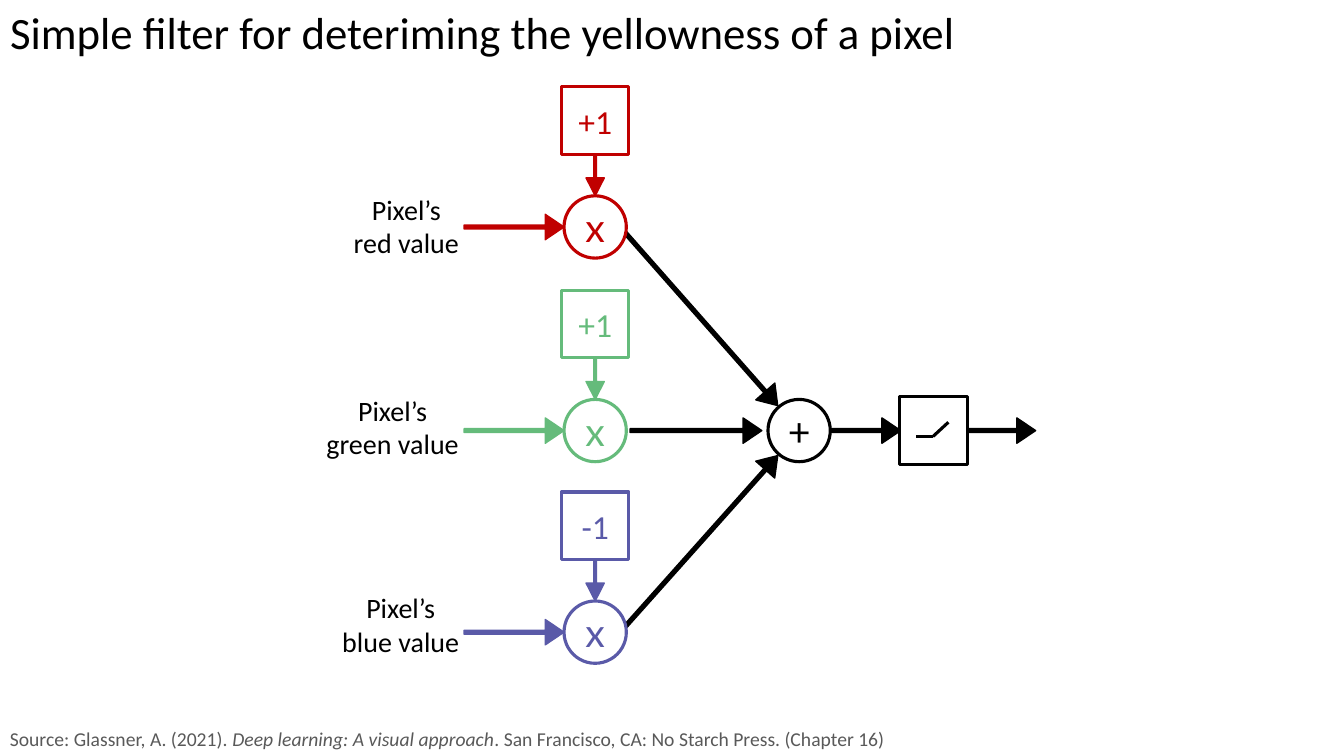
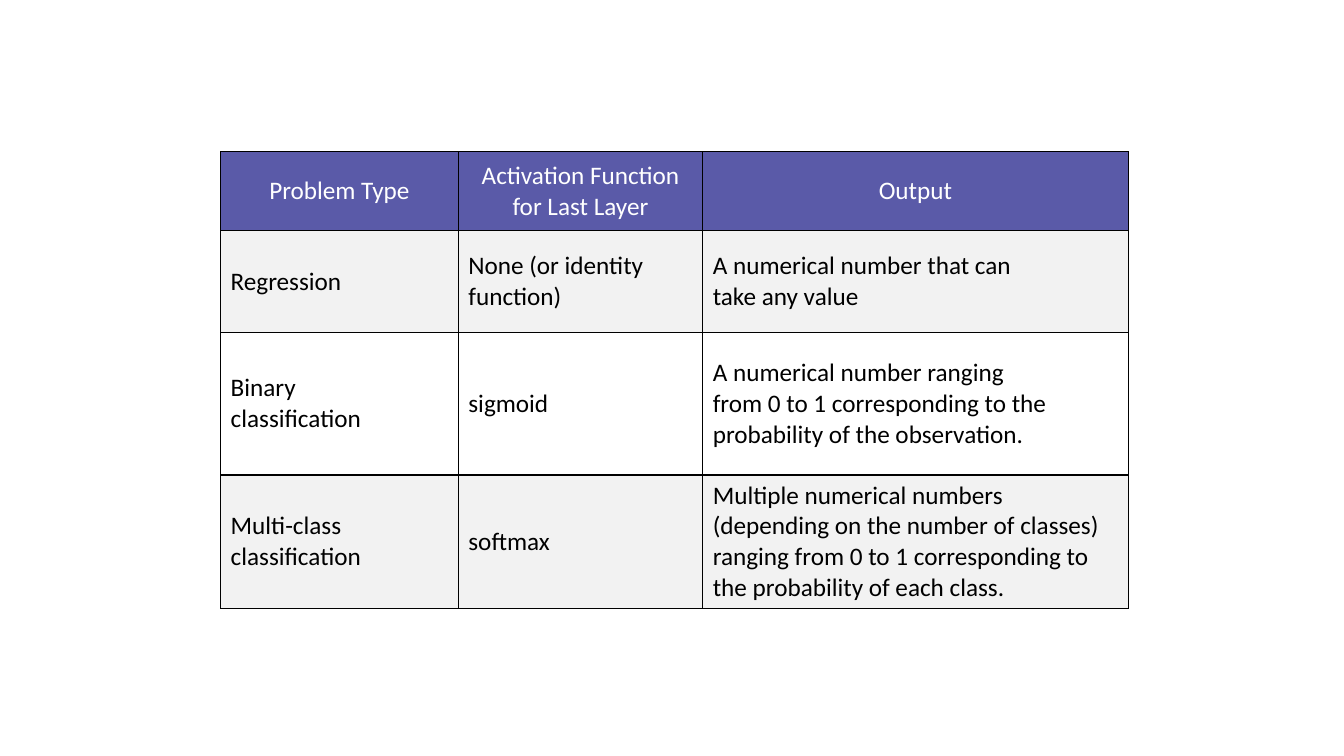
from math import atan2, degrees, hypot

from lxml.etree import SubElement
from pptx import Presentation
from pptx.dml.color import RGBColor
from pptx.enum.shapes import MSO_CONNECTOR, MSO_SHAPE
from pptx.enum.text import MSO_ANCHOR, PP_ALIGN
from pptx.oxml.ns import qn
from pptx.util import Cm, Pt

COLORS = {
    "black": "000000",
    "white": "FFFFFF",
    "grey": "595959",
    "band": "F2F2F2",
    "red": "C00000",
    "green": "65BB7B",
    "blue": "5A5AA8",
}
FONT = "Calibri"
SYMBOL_FONT = "Lato"

# Slide 1, lengths in centimetres
TITLE = "Simple filter for deteriming the yellowness of a pixel"
SOURCE = [
    ("Source: Glassner, A. (2021). ", False),
    ("Deep learning: A visual approach", True),
    (". San Francisco, CA: No Starch Press. (Chapter 16)", False),
]
CHANNELS = [
    {"color": "red", "weight": "+1", "y": 5.72, "label_top": 4.72, "label_width": 3.2},
    {"color": "green", "weight": "+1", "y": 10.85, "label_top": 9.78, "label_width": 3.89},
    {"color": "blue", "weight": "-1", "y": 15.93, "label_top": 14.76, "label_width": 3.48},
]
CHANNEL_X, SUM_X, ACTIVATION_X = 15, 20.14, 23.53
SUM_Y = CHANNELS[1]["y"]
SQUARE, CIRCLE = 1.7, 1.57
WEIGHT_RISE = 2.68
LABEL_RIGHT, LABEL_HEIGHT = 11.84, 1.96
WIDE_ARROW, NARROW_ARROW = (0.64, 0.74), (0.46, 0.98)
ACTIVATION_CURVE = [(23.09, 11), (23.51, 11), (23.9, 10.64)]

# Slide 2: "\n" starts a paragraph, "\v" breaks a line
TABLE_ROWS = [
    ("Problem Type", "Activation Function\vfor Last Layer", "Output"),
    ("Regression", "None (or identity\nfunction)",
     "A numerical number that can\ntake any value"),
    ("Binary\nclassification", "sigmoid",
     "A numerical number ranging\n"
     "from 0 to 1 corresponding to the probability of the observation."),
    ("Multi-class\nclassification", "softmax",
     "Multiple numerical numbers (depending on the number of classes) "
     "ranging from 0 to 1 corresponding to the probability of each class."),
]
TABLE_LEFT, TABLE_TOP = 5.56, 3.82
COLUMN_WIDTHS = [5.99, 6.16, 10.72]
ROW_HEIGHTS = [1.99, 2.56, 3.6, 3.36]


def rgb(name):
    return RGBColor.from_string(COLORS[name])


def format_font(font, color, **values):
    for name, value in {"name": FONT, "bold": False, **values}.items():
        setattr(font, name, value)
    font.color.rgb = rgb(color)


def format_paragraphs(text_frame, color, size, alignment=PP_ALIGN.LEFT, name=FONT):
    for paragraph in text_frame.paragraphs:
        paragraph.alignment = alignment
        for run in paragraph.runs:
            format_font(run.font, color, size=Pt(size), name=name)


def add_filled_shape(slide, kind, center, width, height, fill, line, line_width):
    left, top = center[0] - width / 2, center[1] - height / 2
    shape = slide.shapes.add_shape(kind, Cm(left), Cm(top), Cm(width), Cm(height))
    shape.shadow.inherit = False
    shape.fill.solid()
    shape.fill.fore_color.rgb = rgb(fill)
    shape.line.color.rgb = rgb(line)
    shape.line.width = Pt(line_width)
    return shape


def add_node(slide, kind, center, size, color, text="", font_size=28, font_name=SYMBOL_FONT):
    shape = add_filled_shape(slide, kind, center, size, size, "white", color, 2.25)
    if text:
        shape.text_frame.text = text
        shape.text_frame.vertical_anchor = MSO_ANCHOR.MIDDLE
        format_paragraphs(shape.text_frame, color, font_size, PP_ALIGN.CENTER, font_name)


def add_arrow(slide, start, end, color, style=WIDE_ARROW):
    """Turn a down arrow so that it runs from start to end."""
    width, head = style
    across, down = end[0] - start[0], end[1] - start[1]
    center = (start[0] + across / 2, start[1] + down / 2)
    arrow = add_filled_shape(slide, MSO_SHAPE.DOWN_ARROW, center, width,
                             hypot(across, down), color, color, 1)
    arrow.adjustments[0] = 0.15
    arrow.adjustments[1] = head
    arrow.rotation = degrees(atan2(-across, down)) % 360


def add_line(slide, start, end):
    line = slide.shapes.add_connector(
        MSO_CONNECTOR.STRAIGHT, *(Cm(value) for value in (*start, *end)))
    line.line.color.rgb = rgb("black")
    line.line.width = Pt(2.25)
    SubElement(line._element.spPr, qn("a:effectLst"))


def add_text_box(slide, left, top, width, height, wrap=True):
    box = slide.shapes.add_textbox(Cm(left), Cm(top), Cm(width), Cm(height))
    box.text_frame.word_wrap = wrap
    return box.text_frame


def add_title(slide, text):
    title = slide.shapes.title
    frame = {"left": 0, "top": 0, "width": 26.52, "height": 1.62}
    for name, value in frame.items():
        setattr(title, name, Cm(value))
    title.text_frame.text = text
    title.text_frame.vertical_anchor = MSO_ANCHOR.TOP
    format_paragraphs(title.text_frame, "black", 32)


def add_source(slide):
    paragraph = add_text_box(slide, 0, 18.19, 33.87, 0.86).paragraphs[0]
    for text, italic in SOURCE:
        run = paragraph.add_run()
        run.text = text
        format_font(run.font, "grey", size=Pt(14), italic=italic)


def add_channel_arrows(slide, channel):
    y, color = channel["y"], channel["color"]
    circle_left, circle_top = CHANNEL_X - CIRCLE / 2, y - CIRCLE / 2
    add_arrow(slide, (circle_left - 2.52, y), (circle_left, y), color)
    add_arrow(slide, (CHANNEL_X, circle_top - 1.04), (CHANNEL_X, circle_top),
              color, NARROW_ARROW)
    if y == SUM_Y:
        start, end = (CHANNEL_X + 0.88, y), (SUM_X - 0.94, y)
    else:
        side = -1 if y < SUM_Y else 1
        start, end = (CHANNEL_X + 0.63, y), (SUM_X - 0.54, SUM_Y + side * 0.63)
    add_arrow(slide, start, end, "black")


def add_channel_nodes(slide, channel):
    y, color = channel["y"], channel["color"]
    add_node(slide, MSO_SHAPE.RECTANGLE, (CHANNEL_X, y - WEIGHT_RISE), SQUARE, color,
             channel["weight"], 24, FONT)
    add_node(slide, MSO_SHAPE.OVAL, (CHANNEL_X, y), CIRCLE, color, "x")
    width = channel["label_width"]
    label = add_text_box(slide, LABEL_RIGHT - width, channel["label_top"],
                         width, LABEL_HEIGHT, wrap=False)
    label.text = f"Pixel’s\n{color} value"
    format_paragraphs(label, "black", 20, PP_ALIGN.CENTER)


def build_filter_slide(presentation):
    slide = presentation.slides.add_slide(presentation.slide_layouts[5])
    add_title(slide, TITLE)
    add_source(slide)
    for channel in CHANNELS:
        add_channel_arrows(slide, channel)
    for start_x in (SUM_X + 0.73, ACTIVATION_X + 0.74):
        add_arrow(slide, (start_x, SUM_Y), (start_x + 1.83, SUM_Y), "black")
    for channel in CHANNELS:
        add_channel_nodes(slide, channel)
    add_node(slide, MSO_SHAPE.OVAL, (SUM_X, SUM_Y), CIRCLE, "black", "+")
    add_node(slide, MSO_SHAPE.RECTANGLE, (ACTIVATION_X, SUM_Y), SQUARE, "black")
    for start, end in zip(ACTIVATION_CURVE, ACTIVATION_CURVE[1:]):
        add_line(slide, start, end)


def add_borders(cell):
    properties = cell._tc.get_or_add_tcPr()
    for side in ("lnL", "lnR", "lnT", "lnB"):
        border = SubElement(properties, qn(f"a:{side}"), w=str(Pt(1)))
        fill = SubElement(border, qn("a:solidFill"))
        SubElement(fill, qn("a:srgbClr"), val=COLORS["black"])


def build_table_slide(presentation):
    slide = presentation.slides.add_slide(presentation.slide_layouts[6])
    table = slide.shapes.add_table(
        len(TABLE_ROWS), len(COLUMN_WIDTHS), Cm(TABLE_LEFT), Cm(TABLE_TOP),
        Cm(sum(COLUMN_WIDTHS)), Cm(sum(ROW_HEIGHTS))).table
    for column, width in zip(table.columns, COLUMN_WIDTHS):
        column.width = Cm(width)
    for row_index, texts in enumerate(TABLE_ROWS):
        table.rows[row_index].height = Cm(ROW_HEIGHTS[row_index])
        if row_index == 0:
            fill, color, alignment = "blue", "white", PP_ALIGN.CENTER
        else:
            fill = "band" if row_index % 2 else "white"
            color, alignment = "black", PP_ALIGN.LEFT
        for column_index, text in enumerate(texts):
            cell = table.cell(row_index, column_index)
            cell.text = text
            cell.vertical_anchor = MSO_ANCHOR.MIDDLE
            add_borders(cell)
            cell.fill.solid()
            cell.fill.fore_color.rgb = rgb(fill)
            format_paragraphs(cell.text_frame, color, 18, alignment)


def main():
    presentation = Presentation()
    presentation.slide_width = Cm(33.87)
    presentation.slide_height = Cm(19.05)
    build_filter_slide(presentation)
    build_table_slide(presentation)
    presentation.save("out.pptx")


if __name__ == "__main__":
    main()
